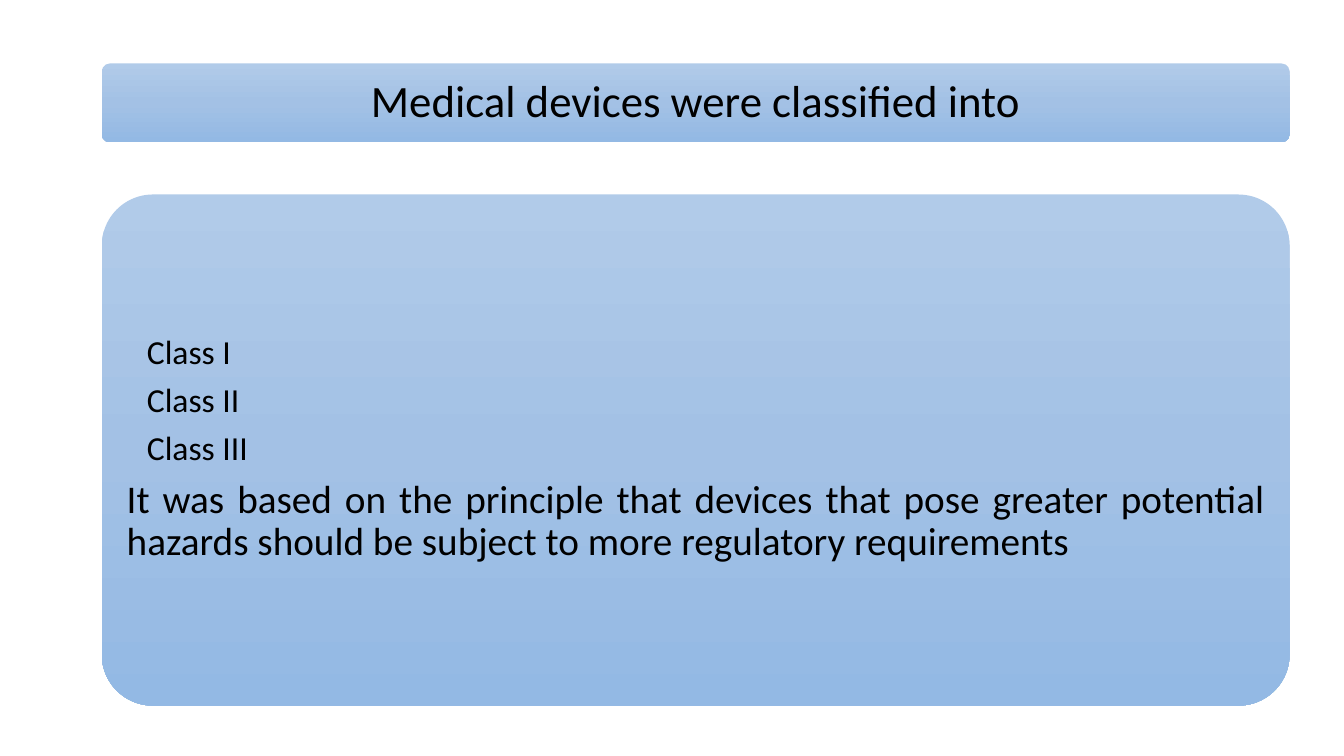
from copy import deepcopy
from dataclasses import dataclass

from pptx import Presentation
from pptx.dml.color import RGBColor
from pptx.enum.shapes import MSO_SHAPE
from pptx.enum.text import MSO_ANCHOR, PP_ALIGN
from pptx.oxml.ns import qn
from pptx.util import Inches, Pt

ROUNDED = MSO_SHAPE.ROUNDED_RECTANGLE
MIDDLE = MSO_ANCHOR.MIDDLE
CENTER, JUSTIFY = PP_ALIGN.CENTER, PP_ALIGN.JUSTIFY


@dataclass(frozen=True)
class Theme:
    font: str = "Calibri"
    text: str = "000000"
    gradient: tuple = ((0, "B1CBE9"), (0.5, "A3C1E5"), (1, "93B9E4"))
    title_size: int = 32
    class_size: int = 24
    body_size: int = 28
    line_spacing: float = 0.9
    space_after: float = 0.35


THEME = Theme()
PANEL_LEFT, PANEL_WIDTH = 1.01, 11.78
CLASS_INDENT = 0.2
CLASSES = ("Class I", "Class II", "Class III")
PRINCIPLE = (
    "It was based on the principle that devices that pose greater potential "
    "hazards should be subject to more regulatory requirements"
)


def fill_gradient(shape):
    """Fill the shape from top to bottom with the theme's gradient stops."""
    shape.fill.gradient()
    shape.fill.gradient_angle = 270
    stop_list = shape._element.spPr.find(qn("a:gradFill")).find(qn("a:gsLst"))
    stop_list.insert(1, deepcopy(stop_list[0]))
    for stop, (position, color) in zip(shape.fill.gradient_stops, THEME.gradient):
        stop.position = position
        stop.color.rgb = RGBColor.from_string(color)


def add_panel(slide, top, height, inset):
    shape = slide.shapes.add_shape(
        ROUNDED, Inches(PANEL_LEFT), Inches(top), Inches(PANEL_WIDTH), Inches(height)
    )
    shape.adjustments[0] = 0.1
    shape.shadow.inherit = False
    shape.line.fill.background()
    fill_gradient(shape)
    frame = shape.text_frame
    frame.word_wrap = True
    frame.vertical_anchor = MIDDLE
    frame.margin_left = frame.margin_right = Inches(inset)
    frame.margin_top = frame.margin_bottom = Inches(inset)
    return frame


def write_paragraph(paragraph, text, size, alignment, indent=0):
    paragraph.text = text
    paragraph.alignment = alignment
    paragraph.line_spacing = THEME.line_spacing
    paragraph.space_after = Pt(size * THEME.space_after)
    if indent:
        paragraph._p.get_or_add_pPr().set("marL", str(Inches(indent)))
    for run in paragraph.runs:
        run.font.name = THEME.font
        run.font.size = Pt(size)
        run.font.color.rgb = RGBColor.from_string(THEME.text)


def main():
    presentation = Presentation()
    presentation.slide_width = Inches(13.33)
    presentation.slide_height = Inches(7.5)
    slide = presentation.slides.add_slide(presentation.slide_layouts[6])

    title = add_panel(slide, top=0.63, height=0.78, inset=0.13)
    write_paragraph(
        title.paragraphs[0], "Medical devices were classified into", THEME.title_size, CENTER
    )

    body = add_panel(slide, top=1.93, height=5.07, inset=0.1)
    for index, name in enumerate(CLASSES):
        paragraph = body.add_paragraph() if index else body.paragraphs[0]
        write_paragraph(paragraph, name, THEME.class_size, JUSTIFY, CLASS_INDENT)
    write_paragraph(body.add_paragraph(), PRINCIPLE, THEME.body_size, JUSTIFY)

    presentation.save("out.pptx")


if __name__ == "__main__":
    main()
